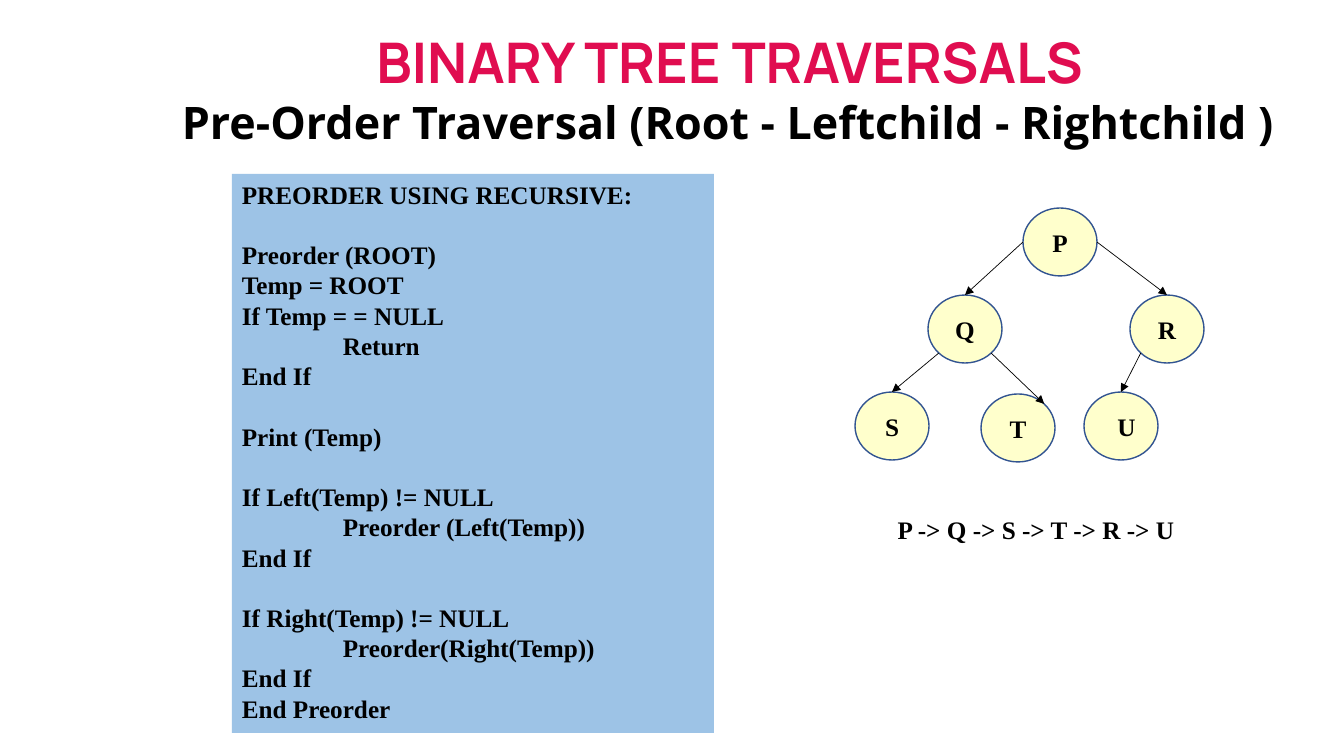
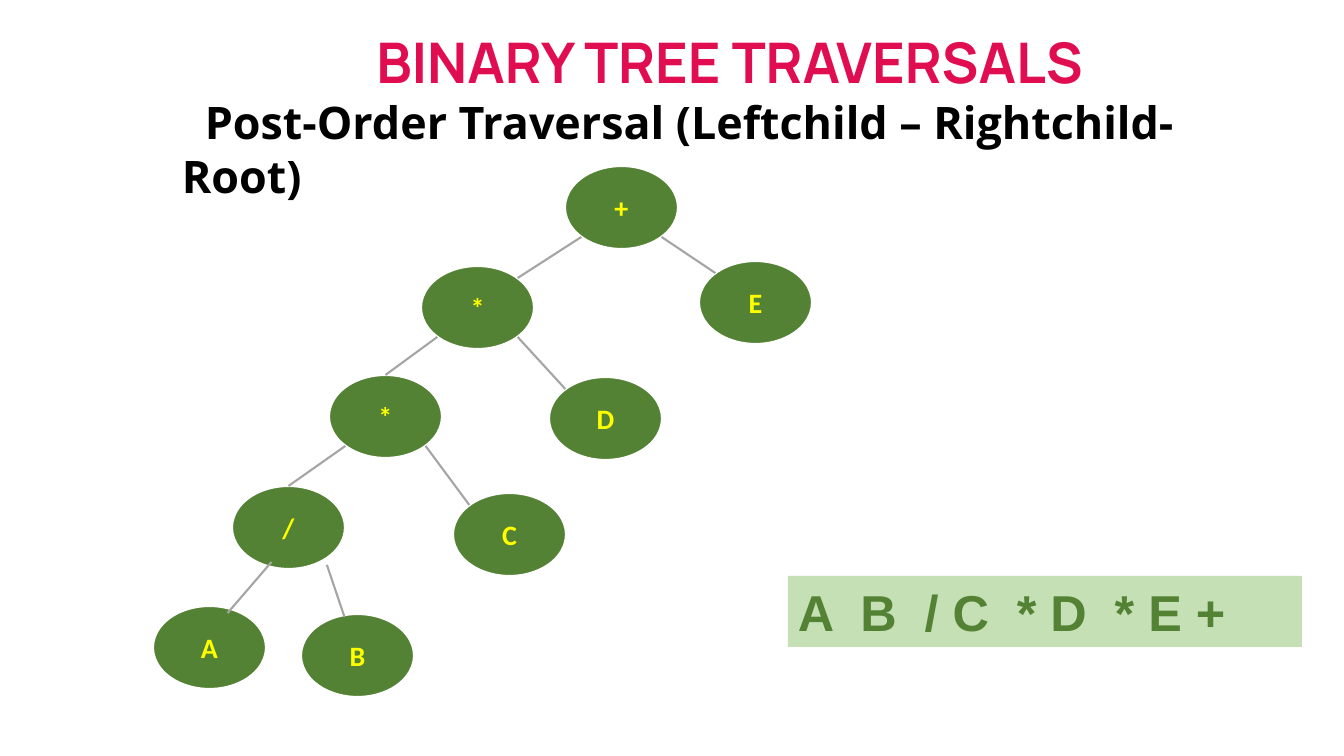
"""Build two slides on binary tree traversals, each with a tree diagram."""
from dataclasses import dataclass
from typing import NamedTuple

from lxml.etree import SubElement
from pptx import Presentation
from pptx.dml.color import RGBColor
from pptx.enum.shapes import MSO_CONNECTOR, MSO_SHAPE
from pptx.enum.text import MSO_ANCHOR, PP_ALIGN
from pptx.oxml.ns import qn
from pptx.util import Emu, Pt

PX_PER_INCH = 100.8
WHITE = RGBColor(0xFF, 0xFF, 0xFF)
BLACK = RGBColor(0, 0, 0)
CRIMSON = RGBColor(0xE0, 0x0D, 0x50)
CREAM = RGBColor(0xFF, 0xFF, 0xCC)
NAVY = RGBColor(0x32, 0x54, 0x91)
SKY = RGBColor(0x9D, 0xC3, 0xE6)
GREEN = RGBColor(0x54, 0x82, 0x35)
PALE_GREEN = RGBColor(0xC5, 0xE0, 0xB4)
YELLOW = RGBColor(0xFF, 0xFF, 0)
GRAY = RGBColor(0xA5, 0xA5, 0xA5)

CODE_PITCH = Pt(21.6)
CODE_INDENT = 101


class Format(NamedTuple):
    font: dict
    color: RGBColor


class Line(NamedTuple):
    text: str
    look: Format
    layout: dict
    margin: int = 0
    first_indent: int = 0


class Box(NamedTuple):
    left: int
    top: int
    width: int
    height: int


class Spot(NamedTuple):
    x: float
    y: float


@dataclass(frozen=True)
class Node:
    left: int
    top: int
    margin: int = 0


@dataclass(frozen=True)
class Edge:
    parent: str
    start: Spot
    child: str
    end: Spot


@dataclass(frozen=True)
class TreeStyle:
    width: int
    height: int
    label: Format
    fill: RGBColor
    outline: RGBColor
    outline_width: float
    edge: RGBColor
    edge_width: float
    arrows: bool


def make_format(name: str, size: int, color: RGBColor) -> Format:
    return Format({"name": name, "size": Pt(size), "bold": True}, color)


HEADING = make_format("Manrope", 40, CRIMSON)
SUBHEADING = make_format("Open Sans", 32, BLACK)
SERIF = make_format("Times New Roman", 18, BLACK)
OPERAND = make_format("Calibri", 20, YELLOW)
RESULT = make_format("Arial", 36, GREEN)
CENTERED = {"alignment": PP_ALIGN.CENTER}
LEFT = {"alignment": PP_ALIGN.LEFT}

DIAGONAL = 0.71
TOP, LEFT_SIDE, RIGHT_SIDE = Spot(0, -1), Spot(-1, 0), Spot(1, 0)
LOWER_LEFT, LOWER_RIGHT = Spot(-DIAGONAL, DIAGONAL), Spot(DIAGONAL, DIAGONAL)
UPPER_LEFT, UPPER_RIGHT = Spot(-DIAGONAL, -DIAGONAL), Spot(DIAGONAL, -DIAGONAL)

PREORDER_STYLE = TreeStyle(74, 68, SERIF, CREAM, NAVY, 1, BLACK, 0.5, True)
PREORDER_NODES = {
    "P": Node(1023, 208),
    "Q": Node(928, 295),
    "R": Node(1130, 295),
    "U": Node(1084, 392, margin=11),
    "T": Node(981, 394),
    "S": Node(855, 392),
}
PREORDER_EDGES = [
    Edge("P", LEFT_SIDE, "Q", TOP),
    Edge("P", RIGHT_SIDE, "R", TOP),
    Edge("Q", LOWER_LEFT, "S", TOP),
    Edge("Q", LOWER_RIGHT, "T", UPPER_RIGHT),
    Edge("R", LOWER_LEFT, "U", TOP),
]
PREORDER_CODE = [
    ["PREORDER USING RECURSIVE:"],
    ["Preorder (ROOT)", "Temp = ROOT", "If Temp = = NULL", "\tReturn", "End If"],
    ["Print (Temp)"],
    ["If Left(Temp) != NULL", "\tPreorder (Left(Temp))", "End If"],
    ["If Right(Temp) != NULL", "\tPreorder(Right(Temp))", "End If", "End Preorder"],
]

POSTORDER_STYLE = TreeStyle(113, 83, OPERAND, GREEN, WHITE, 1.5, GRAY, 1.5, False)
POSTORDER_NODES = {
    "+": Node(565, 166),
    "* upper": Node(421, 266),
    "E": Node(699, 261),
    "* lower": Node(329, 375),
    "D": Node(549, 377),
    "/": Node(232, 486),
    "C": Node(453, 493),
    "A": Node(153, 606),
    "B": Node(301, 614),
}
POSTORDER_EDGES = [
    Edge("+", LOWER_LEFT, "* upper", UPPER_RIGHT),
    Edge("+", LOWER_RIGHT, "E", UPPER_LEFT),
    Edge("* upper", LOWER_LEFT, "* lower", TOP),
    Edge("* upper", LOWER_RIGHT, "D", UPPER_LEFT),
    Edge("* lower", LOWER_LEFT, "/", TOP),
    Edge("* lower", LOWER_RIGHT, "C", UPPER_LEFT),
    Edge("/", Spot(-0.3, 0.83), "A", Spot(0.32, -0.83)),
    Edge("/", Spot(0.68, 0.9), "B", Spot(-0.23, -0.93)),
]


def px(length: float) -> Emu:
    return Emu(round(length * 914400 / PX_PER_INCH))


def write(frame, lines: list[Line]) -> None:
    frame.word_wrap = True
    for index, line in enumerate(lines):
        paragraph = frame.add_paragraph() if index else frame.paragraphs[0]
        for attribute, value in line.layout.items():
            setattr(paragraph, attribute, value)
        if line.margin or line.first_indent:
            properties = paragraph._p.get_or_add_pPr()
            properties.set("marL", str(px(line.margin)))
            properties.set("indent", str(px(line.first_indent)))
        run = paragraph.add_run()
        run.text = line.text
        for attribute, value in line.look.font.items():
            setattr(run.font, attribute, value)
        run.font.color.rgb = line.look.color


def add_text(slide, box: Box, lines: list[Line]) -> None:
    write(slide.shapes.add_textbox(*map(px, box)).text_frame, lines)


def add_filled(slide, preset: MSO_SHAPE, box: Box, fill: RGBColor, anchor: MSO_ANCHOR,
               lines: list[Line]):
    shape = slide.shapes.add_shape(preset, *map(px, box))
    shape.shadow.inherit = False
    shape.fill.solid()
    shape.fill.fore_color.rgb = fill
    shape.line.fill.background()
    shape.text_frame.vertical_anchor = anchor
    write(shape.text_frame, lines)
    return shape


def add_heading(slide, subtitle: str, first_indent: int = 0) -> None:
    add_text(slide, Box(172, 23, 1115, 200), [
        Line("BINARY TREE TRAVERSALS", HEADING, CENTERED),
        Line(subtitle, SUBHEADING, LEFT, first_indent=first_indent),
    ])


def add_tree(slide, nodes: dict[str, Node], edges: list[Edge], style: TreeStyle) -> None:
    ellipses = {}
    for key, node in nodes.items():
        box = Box(node.left, node.top, style.width, style.height)
        label = Line(key[0], style.label, CENTERED, node.margin)
        ellipse = add_filled(slide, MSO_SHAPE.OVAL, box, style.fill, MSO_ANCHOR.MIDDLE,
                             [label])
        ellipse.line.color.rgb = style.outline
        ellipse.line.width = Pt(style.outline_width)
        ellipses[key] = ellipse

    def locate(key: str, spot: Spot) -> tuple[Emu, Emu]:
        return (px(nodes[key].left + style.width * (1 + spot.x) / 2),
                px(nodes[key].top + style.height * (1 + spot.y) / 2))

    for edge in edges:
        branch = slide.shapes.add_connector(
            MSO_CONNECTOR.STRAIGHT, *locate(edge.parent, edge.start),
            *locate(edge.child, edge.end))
        if edge.end == TOP:
            branch.end_connect(ellipses[edge.child], 0)
        branch.line.color.rgb = style.edge
        branch.line.width = Pt(style.edge_width)
        if style.arrows:
            SubElement(branch.line._get_or_add_ln(), qn("a:tailEnd"), type="triangle")
        SubElement(branch._element.spPr, qn("a:effectLst"))


def code_lines(groups: list[list[str]]) -> list[Line]:
    lines = []
    for group in groups:
        for position, text in enumerate(group):
            gap = CODE_PITCH if lines and position == 0 else Pt(0)
            layout = LEFT | {"line_spacing": CODE_PITCH, "space_before": gap}
            margin = CODE_INDENT if text.startswith("\t") else 0
            lines.append(Line(text.strip(), SERIF, layout, margin))
    return lines


def build_preorder(slide) -> None:
    add_tree(slide, PREORDER_NODES, PREORDER_EDGES, PREORDER_STYLE)
    add_text(slide, Box(879, 509, 314, 40),
             [Line("P -> Q -> S -> T -> R -> U", SERIF, CENTERED)])
    add_heading(slide, "Pre-Order Traversal (Root - Leftchild - Rightchild )")
    add_filled(slide, MSO_SHAPE.RECTANGLE, Box(232, 174, 482, 559), SKY, MSO_ANCHOR.TOP,
               code_lines(PREORDER_CODE))


def build_postorder(slide) -> None:
    add_tree(slide, POSTORDER_NODES, POSTORDER_EDGES, POSTORDER_STYLE)
    add_filled(slide, MSO_SHAPE.RECTANGLE, Box(788, 576, 514, 71), PALE_GREEN,
               MSO_ANCHOR.TOP, [Line("A  B  / C  * D  * E +", RESULT, LEFT)])
    add_heading(slide, "Post-Order Traversal (Leftchild – Rightchild- Root)", 23)


def main() -> None:
    deck = Presentation()
    deck.slide_width, deck.slide_height = px(1344), px(756)
    for build in (build_preorder, build_postorder):
        build(deck.slides.add_slide(deck.slide_layouts[6]))
    deck.save("out.pptx")


if __name__ == "__main__":
    main()
